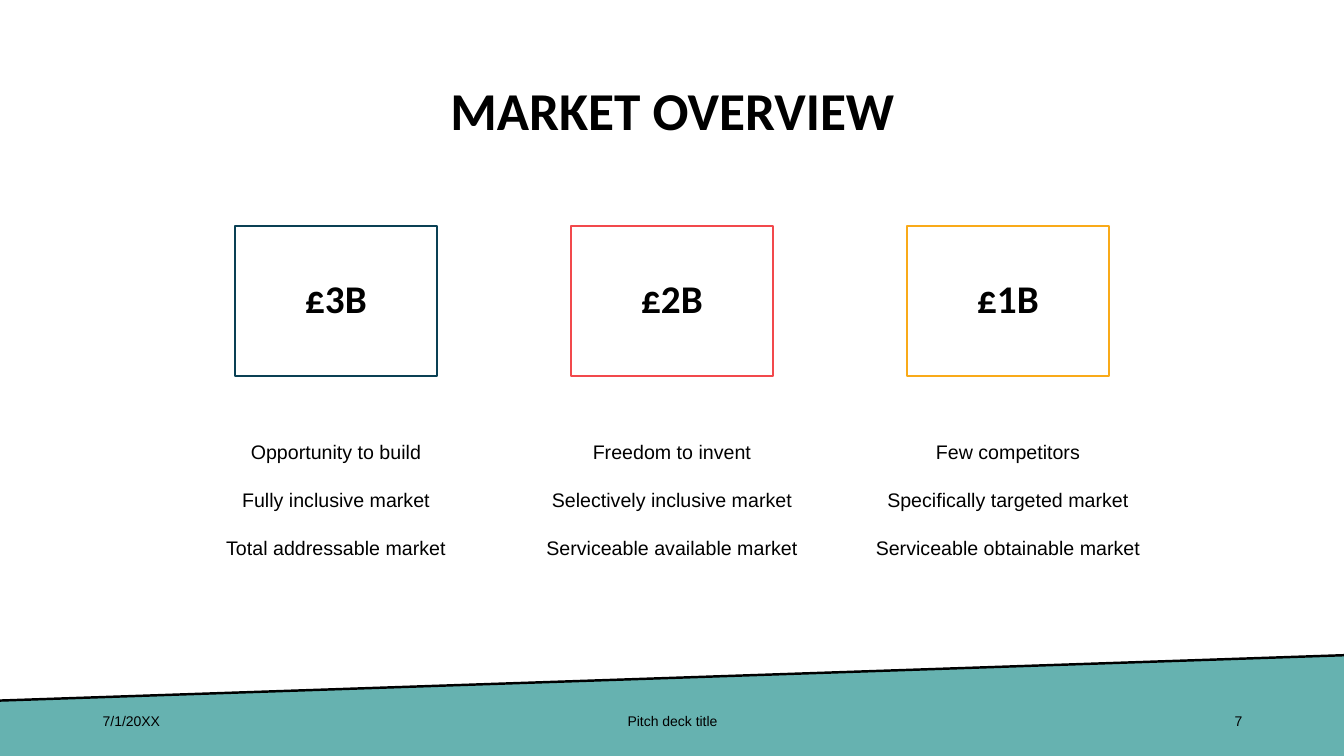
import pptx
import pptx.util
import pptx.dml.color
import pptx.enum.shapes
import pptx.enum.text
import pptx.oxml.xmlchemy
from lxml import etree

W, H = 13.33, 7.5
COLORS = {"ink": "000000", "band": "66B2B0", "navy": "0A4054", "red": "F2494C", "amber": "F9AA19"}
ALIGN = pptx.enum.text.PP_ALIGN
ANCHOR = pptx.enum.text.MSO_ANCHOR
TITLE = {"size": pptx.util.Pt(38), "name": "Calibri", "bold": True}
AMOUNT = {"size": pptx.util.Pt(28), "name": "Calibri", "bold": True}
LIST = {"size": pptx.util.Pt(14), "name": "Arial", "bold": False}
FOOTER = {"size": pptx.util.Pt(10), "name": "Arial", "bold": False}
MARKETS = [
    ("£3B", "navy", ["Opportunity to build", "Fully inclusive market", "Total addressable market"]),
    ("£2B", "red", ["Freedom to invent", "Selectively inclusive market", "Serviceable\u00a0available market".replace("\u00a0", " ")]),
    ("£1B", "amber", ["Few competitors", "Specifically targeted market", "Serviceable obtainable market"]),
]
FOOTERS = [
    ("7/1/20XX", 0.92, 3, ALIGN.LEFT),
    ("Pitch deck title", 4.42, 4.5, ALIGN.CENTER),
    ("7", 9.42, 3, ALIGN.RIGHT),
]


def rgb(name):
    """Return the palette colour with the given name."""
    return pptx.dml.color.RGBColor.from_string(COLORS[name])


def inches(*values):
    """Convert lengths in inches to whole units."""
    return [pptx.util.Inches(v) for v in values]


def place(sp, box):
    """Move a shape to a left, top, width, height box."""
    for name, value in zip(("left", "top", "width", "height"), inches(*box)):
        setattr(sp, name, value)


def write(sp, lines, font, align=ALIGN.CENTER, anchor=ANCHOR.MIDDLE, spacing=0.9, gap=0):
    """Fill a shape with unbulleted paragraphs in one format."""
    tf = sp.text_frame
    frame = {"word_wrap": True, "auto_size": pptx.enum.text.MSO_AUTO_SIZE.NONE, "vertical_anchor": anchor}
    for name, value in frame.items():
        setattr(tf, name, value)
    for i, line in enumerate(lines):
        p = tf.paragraphs[0] if i == 0 else tf.add_paragraph()
        pPr = p._p.get_or_add_pPr()
        pPr.set("marL", "0")
        pPr.set("indent", "0")
        etree.SubElement(pPr, pptx.oxml.ns.qn("a:buNone"))
        r = p.add_run()
        r.text = line
        before = pptx.util.Pt(gap if i else 0)
        for name, value in {"alignment": align, "line_spacing": spacing, "space_before": before}.items():
            setattr(p, name, value)
        for name, value in font.items():
            setattr(r.font, name, value)
        r.font.color.rgb = rgb("ink")


def add_band(slide, box):
    """Draw the sloping footer band and its top edge."""
    x, y, w, h = box
    left, right = (x, y + 0.45 * h), (x + w, y)
    fb = slide.shapes.build_freeform(*inches(*left), scale=1.0)
    fb.add_line_segments([inches(*pt) for pt in (right, (x + w, y + h), (x, y + h))])
    sp = fb.convert_to_shape()
    sp.shadow.inherit = False
    sp.fill.solid()
    sp.fill.fore_color.rgb = rgb("band")
    sp.line.fill.background()
    edge = slide.shapes.add_connector(pptx.enum.shapes.MSO_CONNECTOR.STRAIGHT, *inches(*right, *left))
    edge.line.color.rgb = rgb("ink")
    edge.line.width = pptx.util.Pt(1.75)
    etree.SubElement(edge._element.spPr, pptx.oxml.ns.qn("a:effectLst"))


def add_market(slide, holder, box, amount, color, points):
    """Draw one market column: an outlined amount above its list."""
    x, y, w, h = box
    card = (x + w / 6, y, w * 2 / 3, h * 0.4)
    sp = slide.shapes.add_shape(pptx.enum.shapes.MSO_SHAPE.RECTANGLE, *inches(*card))
    sp.shadow.inherit = False
    sp.fill.background()
    sp.line.color.rgb = rgb(color)
    sp.line.width = pptx.util.Pt(1.75)
    write(sp, [amount], AMOUNT)
    place(holder, (x, y + h * 0.53, w, h * 0.47))
    write(holder, points, LIST, anchor=ANCHOR.TOP, spacing=pptx.util.Pt(24), gap=10)


def add_footer(slide, top, height):
    """Write the date, deck title and slide number."""
    for text, left, width, align in FOOTERS:
        sp = slide.shapes.add_textbox(*inches(left, top, width, height))
        write(sp, [text], FOOTER, align=align, spacing=1.0)


def add_market_slide(prs):
    """Build the market overview slide."""
    slide = prs.slides.add_slide(prs.slide_layouts[4])
    title, *holders = slide.placeholders
    place(title, (0.92, 0.4, 11.5, 1.45))
    write(title, ["MARKET OVERVIEW"], TITLE)
    add_band(slide, (0, 6.5, W, H - 6.5))
    width = 3
    for i, (holder, market) in enumerate(zip(holders, MARKETS), 1):
        add_market(slide, holder, (W * i / 4 - width / 2, 2.24, width, 3.73), *market)
    for spare in holders[len(MARKETS):]:
        spare._element.getparent().remove(spare._element)
    add_footer(slide, 6.95, 0.4)


def main():
    """Create and save the presentation."""
    prs = pptx.Presentation()
    prs.slide_width, prs.slide_height = inches(W, H)
    add_market_slide(prs)
    prs.save("out.pptx")


if __name__ == "__main__":
    main()
